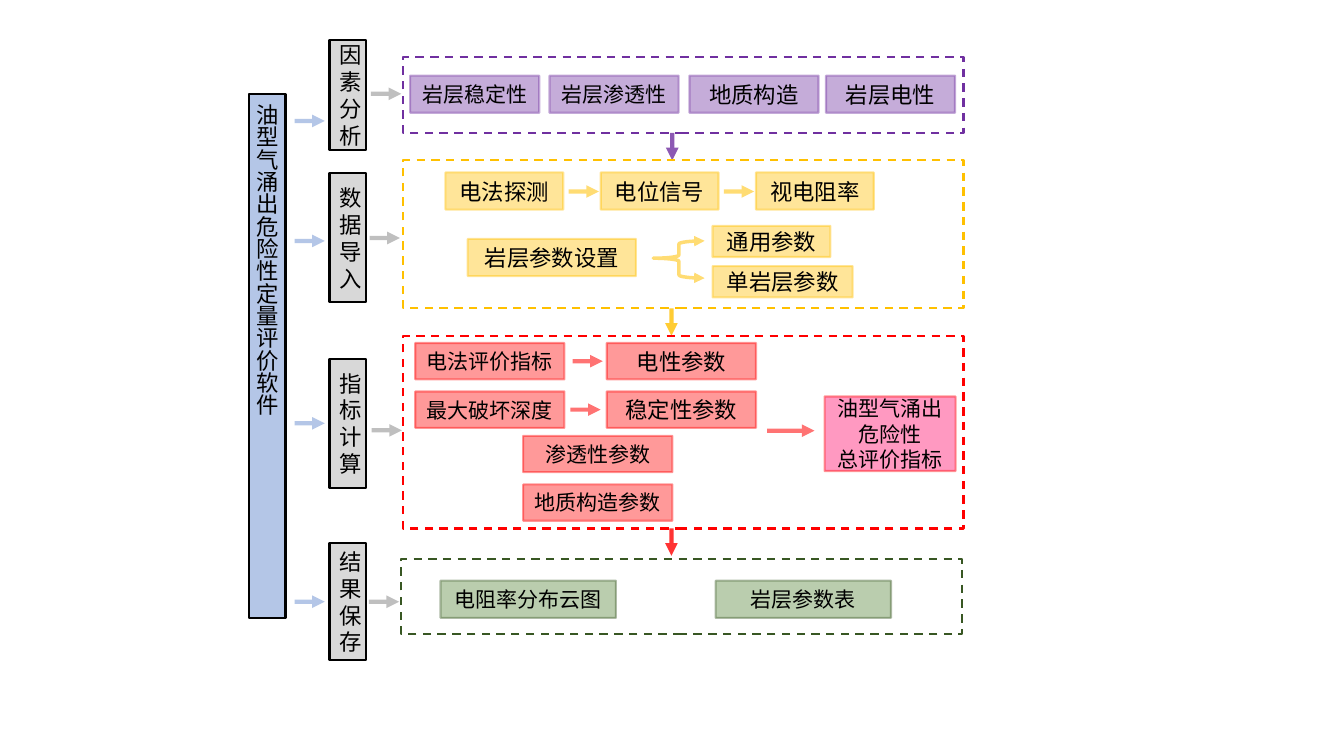
import pptx
import pptx.util
import pptx.dml.color
import pptx.enum.dml
import pptx.enum.shapes
import pptx.enum.text
import pptx.oxml
import pptx.oxml.ns
from lxml import etree
from dataclasses import dataclass

Pt = pptx.util.Pt
Kind = pptx.enum.shapes.MSO_SHAPE
qn = pptx.oxml.ns.qn


@dataclass(frozen=True)
class Theme:
    font: str = "Noto Sans CJK SC"
    ink: str = "000000"
    blue: str = "4472C4"
    grey: str = "BFBFBF"
    dark: str = "808080"
    purple: str = "7030A0"
    gold: str = "FFC000"
    red: str = "FF0000"
    pink: str = "FF0066"
    green: str = "548235"
    pine: str = "385723"
    large: int = 16
    small: int = 15


theme = Theme()


def tint(color, hue, alpha):
    """Set a colour and its opacity in percent."""
    color.rgb = pptx.dml.color.RGBColor.from_string(hue)
    if alpha < 100:
        node = color._xFill.find(qn("a:srgbClr"))
        etree.SubElement(node, qn("a:alpha"), val=str(alpha * 1000))


def stroke(line, hue, width=1.5, alpha=100):
    line.fill.solid()
    tint(line.fill.fore_color, hue, alpha)
    line.width = Pt(width)


def write(shape, text, size=theme.large, hue=theme.ink, upright=False):
    frame = shape.text_frame
    frame.word_wrap = True
    frame.vertical_anchor = pptx.enum.text.MSO_ANCHOR.MIDDLE
    if upright:
        frame._txBody.bodyPr.set("vert", "eaVert")
    frame.text = text
    for para in frame.paragraphs:
        para.alignment = pptx.enum.text.PP_ALIGN.CENTER
        for run in para.runs:
            run.font.size = Pt(size)
            run.font.name = theme.font
            run.font.color.rgb = pptx.dml.color.RGBColor.from_string(hue)
            props = run.font._element
            etree.SubElement(props, qn("a:ea"), typeface=theme.font)


def block(slide, box, kind=Kind.RECTANGLE):
    shape = slide.shapes.add_shape(kind, *(Pt(v) for v in box))
    shape.shadow.inherit = False
    shape.fill.background()
    return shape


def chip(slide, box, text, fill, edge=None, alpha=40, rim=40, **form):
    """Draw a filled box with its caption."""
    shape = block(slide, box)
    shape.fill.solid()
    tint(shape.fill.fore_color, fill, alpha)
    stroke(shape.line, edge or fill, alpha=rim)
    write(shape, text, **form)


def frame(slide, box, hue):
    shape = block(slide, box)
    stroke(shape.line, hue)
    shape.line.dash_style = pptx.enum.dml.MSO_LINE.DASH


def arrow(slide, x, y, hue, dx=21.6, dy=0, alpha=55):
    line = slide.shapes.add_connector(
        pptx.enum.shapes.MSO_CONNECTOR.STRAIGHT,
        Pt(x), Pt(y), Pt(x + dx), Pt(y + dy))
    stroke(line.line, hue, 3, alpha)
    etree.SubElement(line.line._get_or_add_ln(), qn("a:tailEnd"), type="triangle")
    etree.SubElement(line._element.spPr, qn("a:effectLst"))


def stage(slide, box, text, feed, exit):
    """Draw a stage label with its incoming and outgoing arrows."""
    x, y, w, h = box
    chip(slide, box, text, theme.grey, theme.ink, alpha=60, rim=100)
    arrow(slide, x - 25, feed, theme.blue, alpha=40)
    arrow(slide, *exit, theme.dark, alpha=50)


def factors(slide, box):
    x, y, w, h = box
    frame(slide, box, theme.purple)
    for dx, text, size in ((5, "岩层稳定性", theme.small),
                           (104.5, "岩层渗透性", theme.small),
                           (204.5, "地质构造", theme.large),
                           (302, "岩层电性", theme.large)):
        chip(slide, (x + dx, y + 13, 92.2, 26.6), text, theme.purple, size=size)
    arrow(slide, x + 192.2, y + h, theme.purple, 0, 19.5, 80)


def inputs(slide, box):
    x, y, w, h = box
    frame(slide, box, theme.gold)
    for i, text in enumerate(("电法探测", "电位信号", "视电阻率")):
        left = x + 30.2 + 110.9 * i
        chip(slide, (left, y + 8.7, 84.2, 26.6), text, theme.gold)
        if i < 2:
            arrow(slide, left + 88, y + 22.3, theme.gold)
    for dx, dy, wide, high, text in ((46.1, 56.2, 120.2, 26.6, "岩层参数设置"),
                                     (221, 46.8, 84.2, 22.3, "通用参数"),
                                     (221, 75.6, 100.1, 22.3, "单岩层参数")):
        chip(slide, (x + dx, y + dy, wide, high), text, theme.gold)
    brace = block(slide, (x + 178.6, y + 57.6, 36.7, 26.6), Kind.LEFT_BRACE)
    brace.adjustments[0] = 0.083
    brace.adjustments[1] = 0.465
    stroke(brace.line, theme.gold, 2.5, 55)
    for end in ("a:headEnd", "a:tailEnd"):
        etree.SubElement(brace.line._get_or_add_ln(), qn(end), type="triangle")
    arrow(slide, x + 191.6, y + h, theme.gold, 0, 19.5, 80)


def indices(slide, box):
    x, y, w, h = box
    frame(slide, box, theme.red)
    for dx, dy, text, size in ((8.6, 5, "电法评价指标", theme.small),
                               (145.4, 5, "电性参数", theme.large),
                               (8.6, 39.6, "最大破坏深度", theme.small),
                               (145.4, 39.6, "稳定性参数", theme.large),
                               (85.7, 71.3, "渗透性参数", theme.small),
                               (85.7, 106, "地质构造参数", theme.small)):
        chip(slide, (x + dx, y + dy, 106.6, 26), text, theme.red, size=size)
    arrow(slide, x + 121, y + 18, theme.red)
    arrow(slide, x + 119.5, y + 52.6, theme.red)
    arrow(slide, x + 260, y + 67.7, theme.red, 33.8)
    chip(slide, (x + 301, y + 43.2, 93.6, 53.3), "油型气涌出危险性\n总评价指标",
         theme.pink, theme.red, size=theme.small)
    arrow(slide, x + 191.6, y + h, theme.red, 0, 19.5, 80)


def results(slide, box):
    x, y, w, h = box
    frame(slide, box, theme.pine)
    for dx, text in ((28.1, "电阻率分布云图"), (224.6, "岩层参数表")):
        chip(slide, (x + dx, y + 15.8, 125.3, 26.6), text,
             theme.green, theme.pine, size=theme.small)


def main():
    deck = pptx.Presentation()
    deck.slide_width, deck.slide_height = Pt(960), Pt(540)
    slide = deck.slides.add_slide(deck.slide_layouts[6])
    chip(slide, (178, 67, 26, 374.4), "油型气涌出危险性定量评价软件",
         theme.blue, theme.ink, rim=100, upright=True)
    for top, high, text, feed, exit in (
            (28.8, 78.5, "因素分析", 86.4, (265, 67)),
            (123.8, 92.2, "数据导入", 172.1, (264, 170)),
            (256.3, 92.2, "指标计算", 302.4, (265.5, 307.4)),
            (388, 83.5, "结果保存", 429.8, (263.5, 429.8))):
        stage(slide, (235.4, top, 26, high), text, feed, exit)
    factors(slide, (288, 41, 400.3, 54))
    inputs(slide, (288, 114.5, 400.3, 105.8))
    indices(slide, (288, 240, 400.3, 137.5))
    results(slide, (286.6, 399, 400.3, 54))
    deck.save("out.pptx")


if __name__ == "__main__":
    main()
